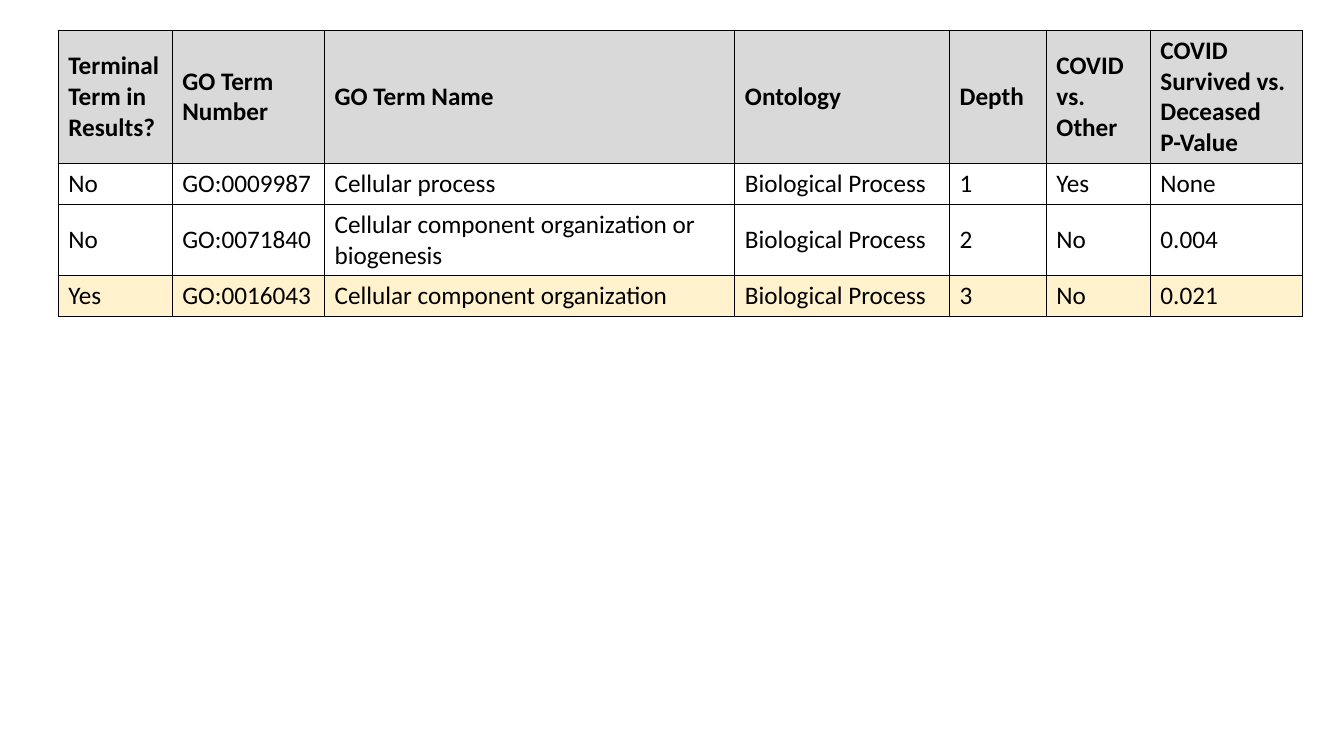
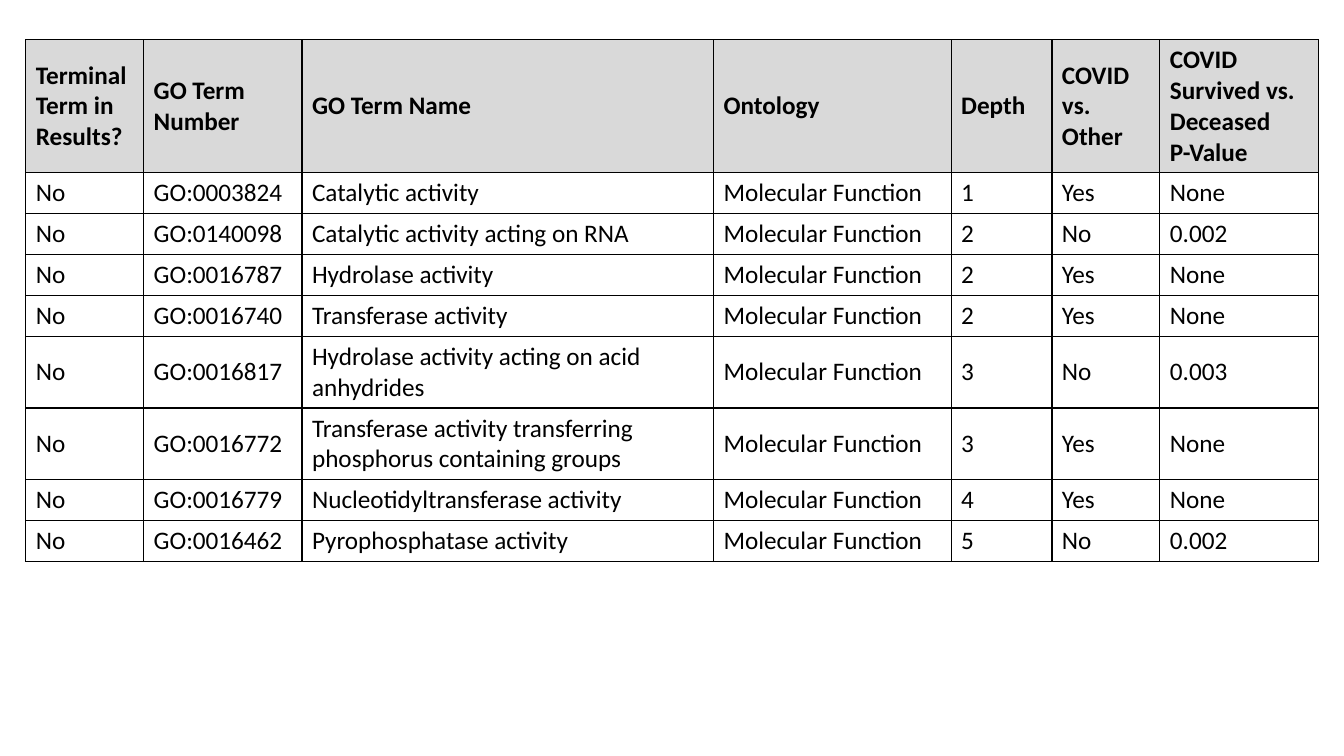
from lxml.etree import SubElement as Sub
from pptx import Presentation
from pptx.dml.color import RGBColor as Rgb
from pptx.enum.text import MSO_ANCHOR as Anchor
from pptx.oxml.ns import qn
from pptx.util import Cm, Pt

HUES = {"ink": "000000", "head": "D9D9D9", "mark": "FFF2CC"}
FONT = "Calibri"
LINE, PAD = 0.77, 0.26
WRAP = 40

HEADS = (
    "Terminal Term in Results?",
    "GO Term Number",
    "GO Term Name",
    "Ontology",
    "Depth",
    "COVID vs. Other",
    "COVID Survived vs. Deceased\nP-Value",
)

PROCESS = [
    ("No", "GO:0009987", "Cellular process", 1, "Yes", "None"),
    ("No", "GO:0071840", "Cellular component organization or biogenesis", 2, "No", "0.004"),
    ("Yes", "GO:0016043", "Cellular component organization", 3, "No", "0.021"),
]

FUNCTION = [
    ("No", "GO:0003824", "Catalytic activity", 1, "Yes", "None"),
    ("No", "GO:0140098", "Catalytic activity acting on RNA", 2, "No", "0.002"),
    ("No", "GO:0016787", "Hydrolase activity", 2, "Yes", "None"),
    ("No", "GO:0016740", "Transferase activity", 2, "Yes", "None"),
    ("No", "GO:0016817", "Hydrolase activity acting on acid anhydrides", 3, "No", "0.003"),
    ("No", "GO:0016772", "Transferase activity transferring phosphorus containing groups",
     3, "Yes", "None"),
    ("No", "GO:0016779", "Nucleotidyltransferase activity", 4, "Yes", "None"),
    ("No", "GO:0016462", "Pyrophosphatase activity", 5, "No", "0.002"),
]


def write(frame, text, size=18, bold=False, hue="ink"):
    """Put text into a frame, one paragraph per line, and format it."""
    frame.text = text
    for para in frame.paragraphs:
        for run in para.runs:
            font = run.font
            font.name, font.size, font.bold = FONT, Pt(size), bold
            font.color.rgb = Rgb.from_string(HUES[hue])


def border(cell, width=1, hue="ink"):
    """Draw a solid line on all four sides of a cell."""
    props = cell._tc.get_or_add_tcPr()
    for side in ("lnL", "lnR", "lnT", "lnB"):
        line = Sub(props, qn(f"a:{side}"), w=str(Pt(width)))
        paint = Sub(line, qn("a:solidFill"))
        Sub(paint, qn("a:srgbClr"), val=HUES[hue])


def fill_cell(cell, text, fill=None, bold=False):
    """Give a cell its border, fill and text."""
    border(cell)
    if fill:
        cell.fill.solid()
        cell.fill.fore_color.rgb = Rgb.from_string(HUES[fill])
    else:
        cell.fill.background()
    cell.vertical_anchor = Anchor.MIDDLE
    write(cell.text_frame, text, bold=bold)


def add_terms(deck, left, top, widths, field, terms):
    """Add a slide with a table of terms, marking the terminal ones."""
    slide = deck.slides.add_slide(deck.slide_layouts[6])
    rows = [HEADS] + [(*term[:3], field, *term[3:]) for term in terms]
    counts = [4] + [2 if len(term[2]) > WRAP else 1 for term in terms]
    tall = [LINE * count + PAD for count in counts]
    table = slide.shapes.add_table(
        len(rows), len(HEADS), Cm(left), Cm(top), Cm(sum(widths)), Cm(sum(tall))
    ).table
    table.horz_banding = False
    for col, width in zip(table.columns, widths):
        col.width = Cm(width)
    for num, (row, items) in enumerate(zip(table.rows, rows)):
        row.height = Cm(tall[num])
        head = num == 0
        fill = "head" if head else "mark" if items[0] == "Yes" else None
        for cell, item in zip(row.cells, items):
            fill_cell(cell, str(item), fill=fill, bold=head)


def main():
    """Build both slides and save the deck."""
    deck = Presentation()
    deck.slide_width, deck.slide_height = Cm(33.87), Cm(19.05)
    add_terms(deck, 1.47, 0.76, (2.87, 3.84, 10.34, 5.41, 2.44, 2.62, 3.84),
              "Biological Process", PROCESS)
    add_terms(deck, 0.65, 1, (2.97, 3.99, 10.37, 5.99, 2.54, 2.72, 3.99),
              "Molecular Function", FUNCTION)
    deck.save("out.pptx")


if __name__ == "__main__":
    main()
